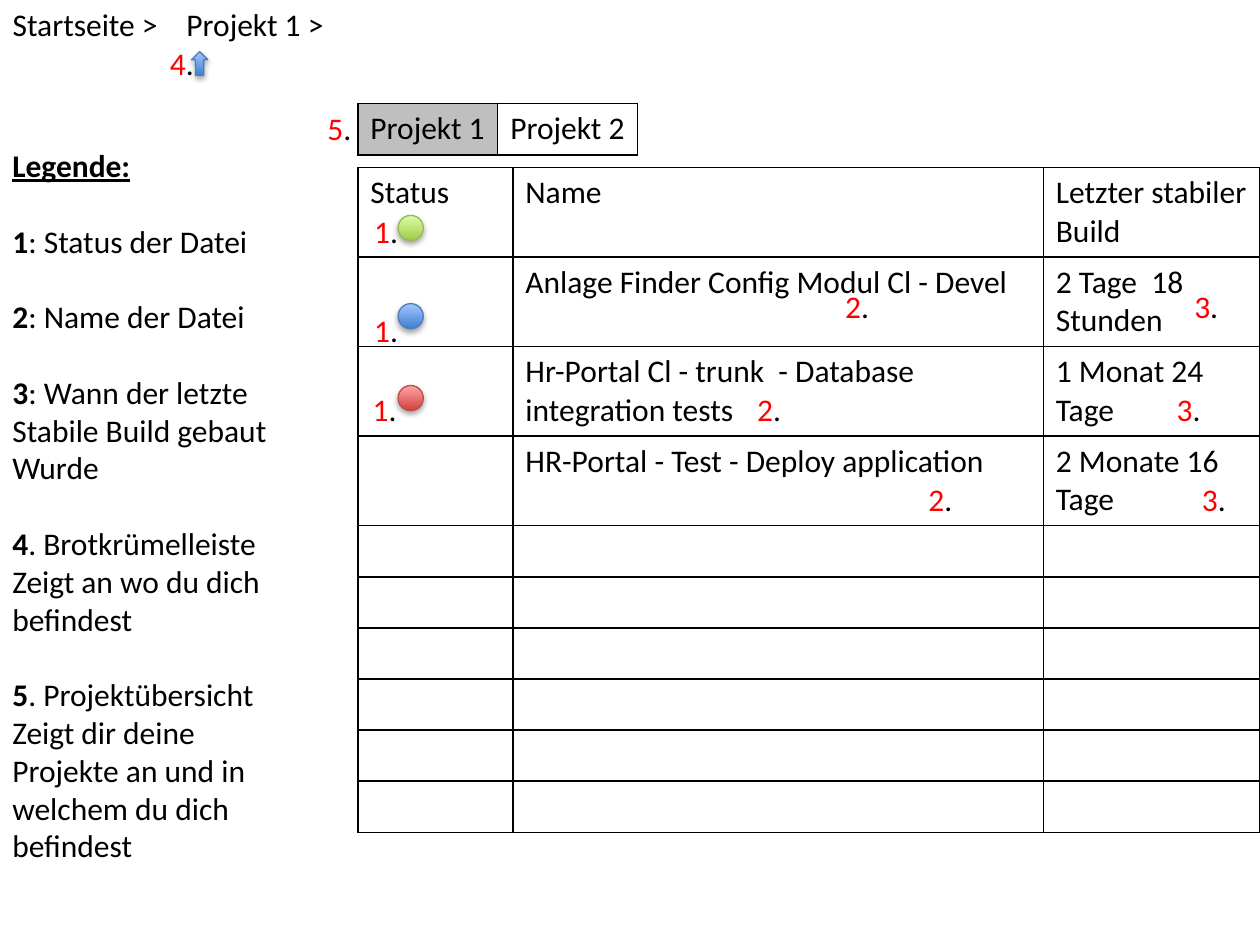
import pptx
import pptx.util
import pptx.dml.color
import pptx.enum.shapes
import pptx.enum.text
import pptx.oxml
import pptx.oxml.ns

Inches, Pt = pptx.util.Inches, pptx.util.Pt
RGBColor = pptx.dml.color.RGBColor
Shapes = pptx.enum.shapes.MSO_SHAPE

BLACK = RGBColor(0x00, 0x00, 0x00)
RED = RGBColor(0xFF, 0x00, 0x00)
GREY = RGBColor(0xBF, 0xBF, 0xBF)
# Dark end, light end and outline of each glossy shape
GREEN_GLOSS = (RGBColor(0xA0, 0xCA, 0x4A), RGBColor(0xDA, 0xFF, 0xA5), RGBColor(0x98, 0xB9, 0x55))
BLUE_GLOSS = (RGBColor(0x3F, 0x80, 0xCE), RGBColor(0xA4, 0xC4, 0xFF), RGBColor(0x4B, 0x7E, 0xBC))
RED_GLOSS = (RGBColor(0xD1, 0x40, 0x3C), RGBColor(0xFF, 0xA6, 0xA5), RGBColor(0xBF, 0x4C, 0x48))

BUILDS = [
    ("Status", "Name", "Letzter stabiler Build"),
    ("", "Anlage Finder Config Modul Cl - Devel", "2 Tage  18 Stunden"),
    ("", "Hr-Portal Cl - trunk  - Database integration tests", "1 Monat 24 Tage"),
    ("", "HR-Portal - Test - Deploy application", "2 Monate 16 Tage"),
] + [("", "", "")] * 6
BREADCRUMBS = [("Startseite >", "Projekt 1 >", "", "")]
PROJECTS = [("Projekt 1", "Projekt 2")]

# Bold mark, first line, further lines
LEGEND = [
    ("1", ": Status der Datei", []),
    ("2", ": Name der Datei", []),
    ("3", ": Wann der letzte ", ["Stabile Build gebaut ", "Wurde"]),
    ("4", ". Brotkrümelleiste", ["Zeigt an wo du dich befindest"]),
    ("5", ". Projektübersicht",
     ["Zeigt dir deine Projekte an und in welchem du dich befindest"]),
]

# Number, left, top
MARKERS = [
    ("1", 2.87, 1.63), ("1", 2.87, 2.42), ("1", 2.86, 3.05),
    ("2", 6.61, 2.23), ("2", 5.91, 3.05), ("2", 7.27, 3.76),
    ("3", 9.38, 2.23), ("3", 9.24, 3.05), ("3", 9.44, 3.76),
    ("5", 2.5, 0.82), ("4", 1.25, 0.3),
]
STATUS_LIGHTS = [(1.71, GREEN_GLOSS), (2.41, BLUE_GLOSS), (3.06, RED_GLOSS)]

SHADOW = ('<a:outerShdw %s blurRad="40000" dist="23000" dir="5400000" rotWithShape="0">'
          '<a:srgbClr val="000000"><a:alpha val="35000"/></a:srgbClr></a:outerShdw>')
BORDER = '<a:%s %s w="12700">%s</a:%s>'
BLACK_LINE = '<a:solidFill><a:srgbClr val="000000"/></a:solidFill>'
NAMESPACE = pptx.oxml.ns.nsdecls("a")


def add_span(para, text, color=BLACK, **formats):
    """Append a run in the slide's text style."""
    span = para.add_run()
    span.text = text
    for key, value in {"name": "Calibri", "size": Pt(18), **formats}.items():
        setattr(span.font, key, value)
    span.font.color.rgb = color


def add_grid(slide, left, top, widths, heights, rows, line):
    """Add a plain table whose cell borders are filled by the given XML."""
    frame = slide.shapes.add_table(
        len(heights), len(widths), Inches(left), Inches(top),
        Inches(sum(widths)), Inches(sum(heights)))
    table = frame.table
    table.first_row = table.horz_banding = False
    for column, width in zip(table.columns, widths):
        column.width = Inches(width)
    for row, height, texts in zip(table.rows, heights, rows):
        row.height = Inches(height)
        for cell, text in zip(row.cells, texts):
            properties = cell._tc.get_or_add_tcPr()
            for side in ("lnL", "lnR", "lnT", "lnB"):
                properties.append(pptx.oxml.parse_xml(BORDER % (side, NAMESPACE, line, side)))
            cell.fill.background()
            para = cell.text_frame.paragraphs[0]
            if text:
                add_span(para, text)
            else:
                para.font.size = Pt(18)
    return table


def add_gloss(slide, kind, left, top, width, height, colors):
    """Add a shape with a vertical gradient and a soft shadow."""
    dark, light, outline = colors
    shape = slide.shapes.add_shape(
        kind, Inches(left), Inches(top), Inches(width), Inches(height))
    shape.fill.gradient()
    shape.fill.gradient_angle = 90
    for stop, color in zip(shape.fill.gradient_stops, (dark, light)):
        stop.color.rgb = color
    shape.line.color.rgb = outline
    shape.line.width = Pt(0.75)
    shape.shadow.inherit = False
    effects = shape._element.spPr.find(pptx.oxml.ns.qn("a:effectLst"))
    effects.append(pptx.oxml.parse_xml(SHADOW % NAMESPACE))


def add_text_box(slide, left, top, width, height, wrap):
    """Add a text box that fits its text and return its text frame."""
    box = slide.shapes.add_textbox(
        Inches(left), Inches(top), Inches(width), Inches(height))
    box.text_frame.word_wrap = wrap
    box.text_frame.auto_size = pptx.enum.text.MSO_AUTO_SIZE.SHAPE_TO_FIT_TEXT
    return box.text_frame


def add_legend(slide):
    """Add the numbered explanations on the left."""
    frame = add_text_box(slide, 0, 1.11, 2.36, 5.86, True)
    add_span(frame.paragraphs[0], "Legende:", bold=True, underline=True)
    for mark, first_line, more_lines in LEGEND:
        para = frame.add_paragraph()
        para.space_before = Pt(21.6)
        add_span(para, mark, bold=True)
        add_span(para, first_line)
        for line in more_lines:
            add_span(frame.add_paragraph(), line)


def add_marker(slide, number, left, top):
    """Add a red reference number with a black full stop."""
    para = add_text_box(slide, left, top, 0.39, 0.4, False).paragraphs[0]
    add_span(para, number, RED)
    add_span(para, ".")


deck = pptx.Presentation()
deck.slide_width, deck.slide_height = Inches(10), Inches(7.5)
page = deck.slides.add_slide(deck.slide_layouts[6])

add_grid(page, 2.84, 1.33, [1.23, 4.21, 1.72], [0.58] * 4 + [0.33] * 6, BUILDS, BLACK_LINE)
add_grid(page, 0, 0, [1.38] * 4, [0.41], BREADCRUMBS, "<a:noFill/>")
projects = add_grid(page, 2.84, 0.82, [1.11] * 2, [0.41], PROJECTS, BLACK_LINE)
current = projects.cell(0, 0)
current.fill.solid()
current.fill.fore_color.rgb = GREY

for light_top, gloss in STATUS_LIGHTS:
    add_gloss(page, Shapes.OVAL, 3.16, light_top, 0.2, 0.2, gloss)
add_legend(page)
for marker in MARKERS:
    add_marker(page, *marker)
add_gloss(page, Shapes.UP_ARROW, 1.52, 0.41, 0.13, 0.19, BLUE_GLOSS)

deck.save("out.pptx")
